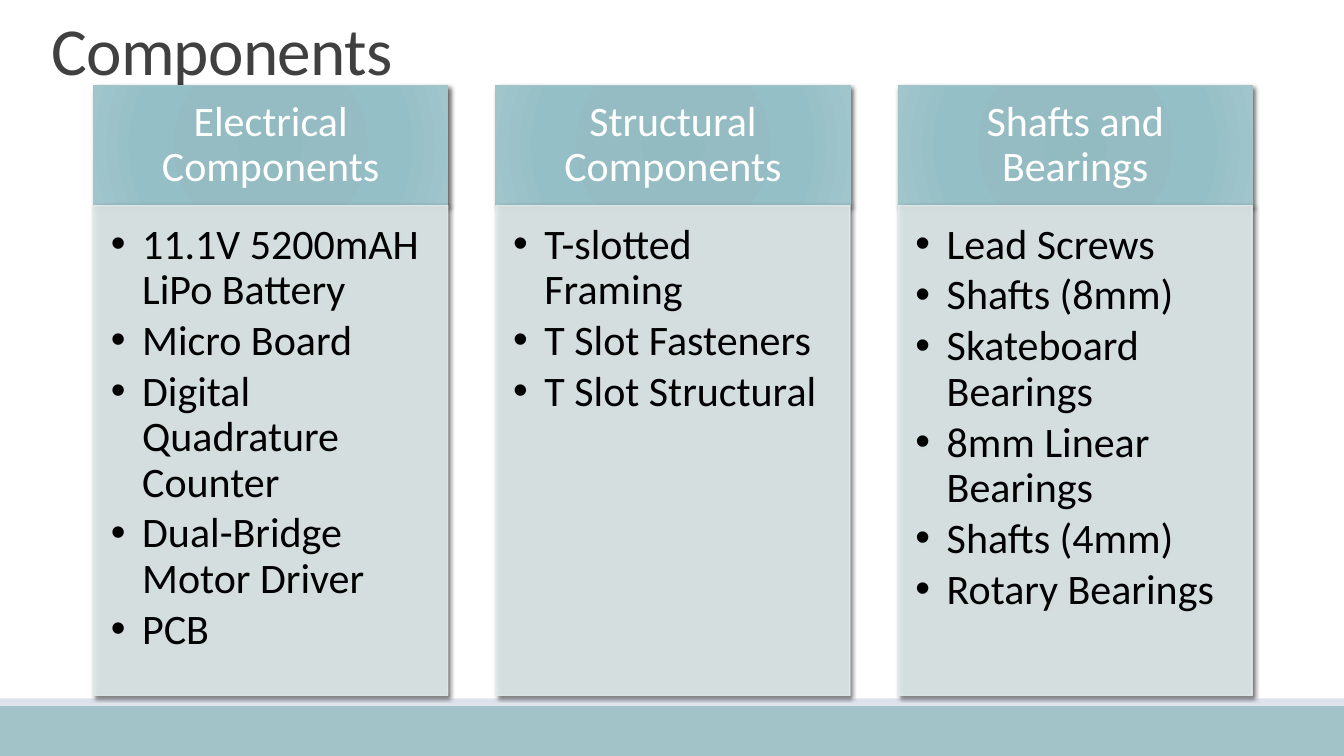
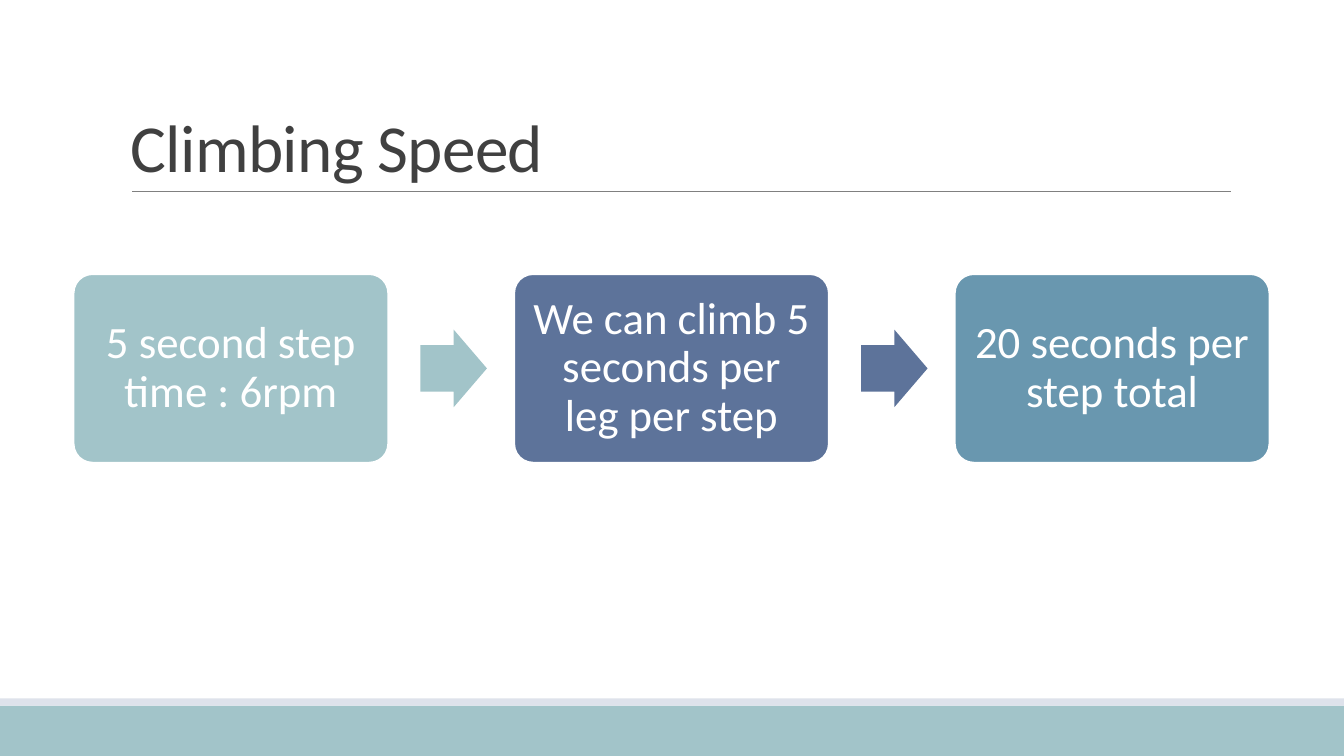
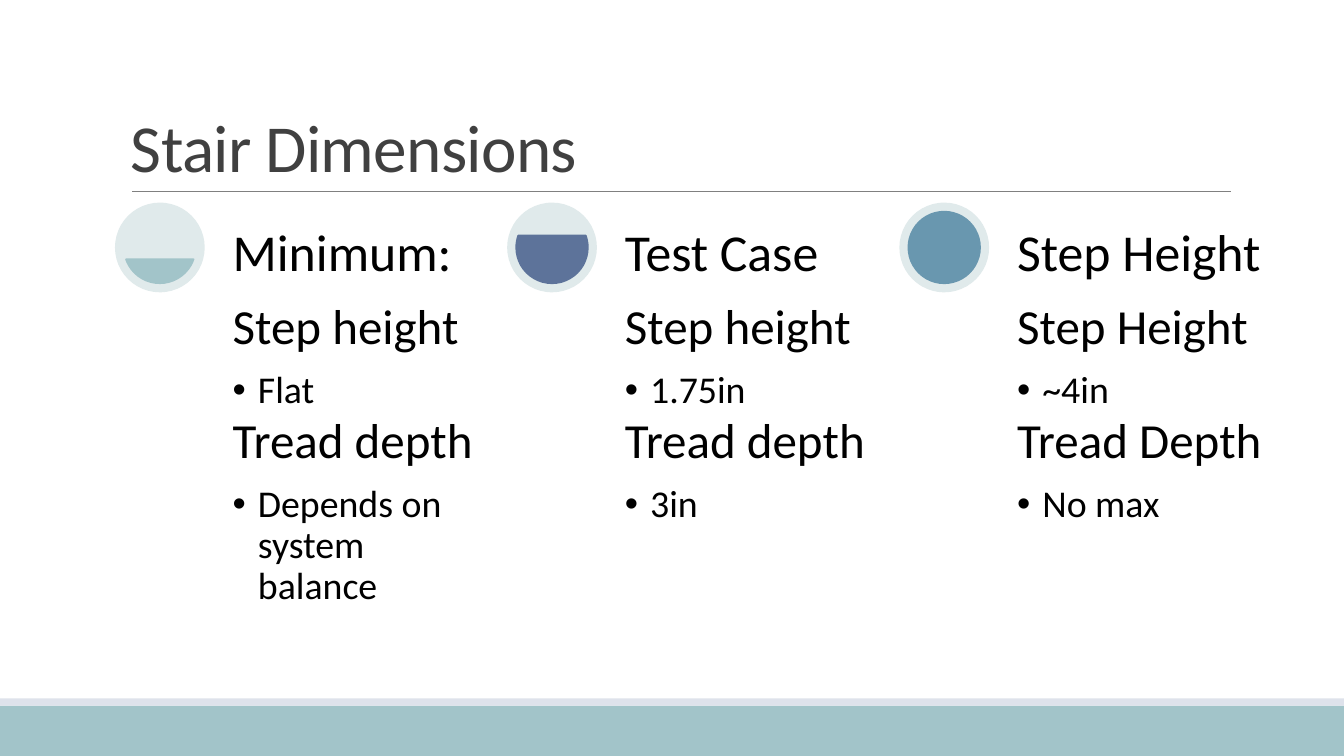
from dataclasses import dataclass

from lxml.etree import SubElement
from pptx import Presentation
from pptx.dml.color import RGBColor
from pptx.enum.shapes import MSO_CONNECTOR, MSO_SHAPE
from pptx.enum.text import MSO_ANCHOR, PP_ALIGN
from pptx.oxml import parse_xml
from pptx.oxml.ns import nsdecls, qn
from pptx.util import Inches, Pt

FONT = "Calibri"
TEAL, INDIGO, BLUE = "A2C4C9", "5D739A", "6997AF"
PALE_TEAL, PALE_BLUE = "E0EAEB", "DEE2EB"
WHITE, BLACK, DARK, GREY = "FFFFFF", "000000", "404040", "808080"
HEADER_STOPS = [(0, "91BBC1"), (34, "94BCC2"), (70, "95BFC6"), (100, "A0C5CB")]
SLIDE_WIDTH = 13.33


@dataclass
class Box:
    left: float
    top: float
    width: float
    height: float

    def emu(self):
        return [Inches(side) for side in (self.left, self.top, self.width, self.height)]


@dataclass
class TextLine:
    text: str
    size: float
    color: str = BLACK
    align: PP_ALIGN = PP_ALIGN.LEFT
    indent: float = 0  # hanging indent of a bullet; 0 means no bullet
    after: float = 0  # space after, as a share of the line height
    spacing: float = 0.9


@dataclass
class Card:
    heading: str
    items: list[str]


@dataclass
class Step:
    text: str
    color: str


@dataclass
class StairCase:
    heading: str
    color: str
    chord_degrees: tuple[float, float]
    measures: list[tuple[str, str]]


CARDS = [
    Card("Electrical Components", [
        "11.1V 5200mAH LiPo Battery", "Micro Board", "Digital Quadrature Counter",
        "Dual-Bridge Motor Driver", "PCB"]),
    Card("Structural Components", [
        "T-slotted Framing", "T Slot Fasteners", "T Slot Structural"]),
    Card("Shafts and Bearings", [
        "Lead Screws", "Shafts (8mm)", "Skateboard Bearings",
        "8mm Linear Bearings", "Shafts (4mm)", "Rotary Bearings"]),
]
STEPS = [
    Step("5 second step time : 6rpm", TEAL),
    Step("We can climb 5 seconds per leg per step", INDIGO),
    Step("20 seconds per step total", BLUE),
]
STAIR_CASES = [
    StairCase("Minimum:", TEAL, (19.47, 160.53),
              [("Step height", "Flat"), ("Tread depth", "Depends on system balance")]),
    StairCase("Test Case", INDIGO, (340.53, 199.47),
              [("Step height", "1.75in"), ("Tread depth", "3in")]),
    StairCase("Step Height", BLUE, (270, 270),
              [("Step Height", "~4in"), ("Tread Depth", "No max")]),
]


# Shared helpers
def rgb(color: str) -> RGBColor:
    return RGBColor.from_string(color)


def add_block(slide, kind, box: Box, fill: str, line: str | None = None, line_width=1.25):
    block = slide.shapes.add_shape(kind, *box.emu())
    block.shadow.inherit = False
    block.fill.solid()
    block.fill.fore_color.rgb = rgb(fill)
    if line:
        block.line.color.rgb = rgb(line)
        block.line.width = Pt(line_width)
    else:
        block.line.fill.background()
    return block


def write(shape, lines: list[TextLine], insets, anchor=MSO_ANCHOR.TOP) -> None:
    frame = shape.text_frame
    frame.word_wrap = True
    frame.vertical_anchor = anchor
    (frame.margin_left, frame.margin_top,
     frame.margin_right, frame.margin_bottom) = [Inches(inset) for inset in insets]
    for index, line in enumerate(lines):
        paragraph = frame.add_paragraph() if index else frame.paragraphs[0]
        paragraph.add_run().text = line.text
        paragraph.alignment = line.align
        paragraph.line_spacing = line.spacing
        paragraph.space_after = Pt(round(line.size * line.after * line.spacing, 1))
        if line.indent:
            props = paragraph._p.get_or_add_pPr()
            props.set("marL", str(Inches(line.indent)))
            props.set("indent", str(-Inches(line.indent)))
            SubElement(props, qn("a:buFont")).set("typeface", "Arial")
            SubElement(props, qn("a:buChar")).set("char", "•")
        paragraph.font.name = FONT
        paragraph.font.size = Pt(line.size)
        paragraph.font.color.rgb = rgb(line.color)


def add_text(slide, box: Box, lines: list[TextLine], insets, anchor=MSO_ANCHOR.TOP):
    label = slide.shapes.add_textbox(*box.emu())
    write(label, lines, insets, anchor)
    return label


def set_radial_fill(shape, stops) -> None:
    stop_xml = "".join(
        f'<a:gs pos="{position * 1000}"><a:srgbClr val="{color}"/></a:gs>'
        for position, color in stops)
    gradient = parse_xml(
        f'<a:gradFill {nsdecls("a")} rotWithShape="1"><a:gsLst>{stop_xml}</a:gsLst>'
        '<a:path path="circle"><a:fillToRect l="100000" t="100000" r="100000" b="100000"/>'
        '</a:path></a:gradFill>')
    props = shape._element.spPr
    props.replace(props.find(qn("a:solidFill")), gradient)


def set_opacity(shape, percent: int) -> None:
    for color in shape._element.spPr.iter(qn("a:srgbClr")):
        SubElement(color, qn("a:alpha")).set("val", str(percent * 1000))


def add_shadow(shape, blur: float) -> None:
    shape._element.spPr.find(qn("a:effectLst")).append(parse_xml(
        f'<a:outerShdw {nsdecls("a")} blurRad="{Pt(blur)}" dist="{Pt(2)}" dir="2700000" '
        f'algn="tl" rotWithShape="0"><a:srgbClr val="{BLACK}"><a:alpha val="60000"/>'
        '</a:srgbClr></a:outerShdw>'))


def start_slide(deck, title: str, title_box=Box(1.2, 0.31, 11, 1.59), ruled=True):
    slide = deck.slides.add_slide(deck.slide_layouts[6])
    # Footer bands
    add_block(slide, MSO_SHAPE.RECTANGLE, Box(0, 7, SLIDE_WIDTH, 0.5), TEAL)
    add_block(slide, MSO_SHAPE.RECTANGLE, Box(0, 6.93, SLIDE_WIDTH, 0.07), PALE_BLUE)
    # Rule under the title
    if ruled:
        rule = slide.shapes.add_connector(
            MSO_CONNECTOR.STRAIGHT, Inches(1.31), Inches(1.9), Inches(12.21), Inches(1.9))
        rule.line.color.rgb = rgb(GREY)
        rule.line.width = Pt(0.5)
        SubElement(rule._element.spPr, qn("a:effectLst"))
    # Title
    heading = add_text(slide, title_box, [TextLine(title, 48, DARK, spacing=0.85)],
                       (0.1, 0.05, 0.1, 0.05), MSO_ANCHOR.BOTTOM)
    for font in heading._element.iter(qn("a:defRPr")):
        font.set("spc", "-50")
    return slide


# Slides
def build_components(deck) -> None:
    slide = start_slide(deck, "Components", Box(0.41, 0, 11, 0.93), ruled=False)
    for column, card in enumerate(CARDS):
        left = 0.93 + 3.99 * column
        header = add_block(slide, MSO_SHAPE.RECTANGLE, Box(left, 0.85, 3.51, 1.19),
                           TEAL, TEAL, 1)
        set_radial_fill(header, HEADER_STOPS)
        add_shadow(header, 3.5)
        write(header, [TextLine(card.heading, 30, WHITE, PP_ALIGN.CENTER)],
              (0.23, 0.13, 0.23, 0.13), MSO_ANCHOR.MIDDLE)

        body = add_block(slide, MSO_SHAPE.RECTANGLE, Box(left, 2.04, 3.51, 4.86),
                         PALE_TEAL, PALE_TEAL, 1)
        set_opacity(body, 90)
        add_shadow(body, 3)
        write(body, [TextLine(item, 30, indent=0.31, after=0.15) for item in card.items],
              (0.17, 0.17, 0.23, 0.26))


def build_climbing_speed(deck) -> None:
    slide = start_slide(deck, "Climbing Speed")
    for column, step in enumerate(STEPS):
        left = 0.73 + 4.37 * column
        box = add_block(slide, MSO_SHAPE.ROUNDED_RECTANGLE, Box(left, 2.72, 3.12, 1.87),
                        step.color, WHITE)
        box.adjustments[0] = 0.1
        write(box, [TextLine(step.text, 32, WHITE, PP_ALIGN.CENTER)],
              (0.13,) * 4, MSO_ANCHOR.MIDDLE)
        if column < len(STEPS) - 1:
            arrow = add_block(slide, MSO_SHAPE.RIGHT_ARROW,
                              Box(left + 3.44, 3.27, 0.66, 0.77), step.color)
            arrow.adjustments[0] = 0.6
            arrow.adjustments[1] = 0.5


def build_stair_dimensions(deck) -> None:
    slide = start_slide(deck, "Stair Dimensions")
    for column, case in enumerate(STAIR_CASES):
        left = 1.14 + 3.89 * column
        # Gauge
        add_block(slide, MSO_SHAPE.OVAL, Box(left, 2.01, 0.89, 0.89), PALE_TEAL)
        level = add_block(slide, MSO_SHAPE.CHORD, Box(left + 0.09, 2.1, 0.71, 0.71),
                          case.color, case.color)
        for index, degrees in enumerate(case.chord_degrees):
            level.adjustments[index] = degrees * 0.6  # 60000 units a degree, over 100000

        # Measures and heading
        lines = []
        for name, value in case.measures:
            lines += [TextLine(name, 35, after=0.35),
                      TextLine(value, 27, indent=0.25, after=0.15)]
        add_text(slide, Box(left + 1.07, 2.9, 2.63, 3.74), lines, (0.1,) * 4)
        add_text(slide, Box(left + 1.07, 2.01, 2.63, 0.89), [TextLine(case.heading, 37)],
                 (0.1,) * 4, MSO_ANCHOR.BOTTOM)


def main() -> None:
    deck = Presentation()
    deck.slide_width, deck.slide_height = Inches(SLIDE_WIDTH), Inches(7.5)
    build_components(deck)
    build_climbing_speed(deck)
    build_stair_dimensions(deck)
    deck.save("out.pptx")


if __name__ == "__main__":
    main()
